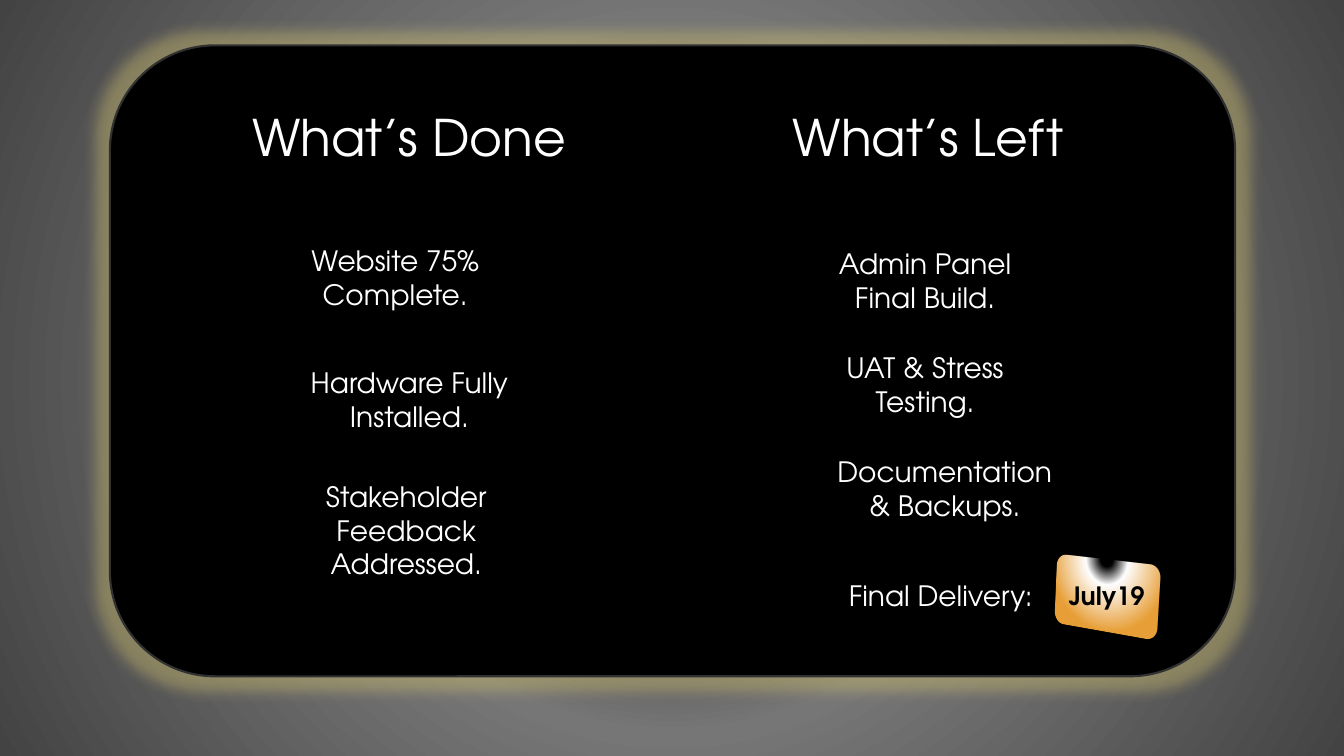
"""Build a project status slide comparing finished and remaining work."""
from lxml import etree
from pptx import Presentation
from pptx.dml.color import RGBColor
from pptx.enum.shapes import MSO_SHAPE
from pptx.enum.text import MSO_AUTO_SIZE, PP_ALIGN
from pptx.oxml import parse_xml
from pptx.oxml.ns import qn
from pptx.util import Inches, Pt

ROUNDED = MSO_SHAPE.ROUNDED_RECTANGLE
LEFT, CENTER = PP_ALIGN.LEFT, PP_ALIGN.CENTER
FIT = MSO_AUTO_SIZE.SHAPE_TO_FIT_TEXT
NS = 'xmlns:a="http://schemas.openxmlformats.org/drawingml/2006/main"'
FONT = "TeX Gyre Adventor"
COLORS = {
    "black": "000000",
    "white": "FFFFFF",
    "gray": "767676",
    "charcoal": "434343",
    "edge": "313131",
    "glow": "D4C36E",
    "orange": "E9A039",
}


def set_radial(gradient, stops, top, bottom):
    """Replace a gradient's content with a circular one."""
    for child in list(gradient):
        gradient.remove(child)
    stop_list = etree.SubElement(gradient, qn("a:gsLst"))
    for position, color in stops:
        stop = etree.SubElement(stop_list, qn("a:gs"), pos=str(position * 1000))
        etree.SubElement(stop, qn("a:srgbClr"), val=COLORS[color])
    circle = etree.SubElement(gradient, qn("a:path"), attrib={"path": "circle"})
    etree.SubElement(circle, qn("a:fillToRect"), l="50000", t=str(top * 1000),
                     r="50000", b=str(bottom * 1000))


def add_text(page, place, lines, size, align=CENTER, color="white", bold=False):
    """Add a text box with one paragraph per line."""
    box = page.shapes.add_textbox(*[Inches(length) for length in place])
    frame = box.text_frame
    frame.word_wrap = True
    frame.auto_size = FIT
    for index, line in enumerate(lines):
        para = frame.add_paragraph() if index else frame.paragraphs[0]
        para.alignment = align
        span = para.add_run()
        span.text = line
        span.font.name = FONT
        span.font.size = Pt(size)
        span.font.bold = bold
        span.font.color.rgb = RGBColor.from_string(COLORS[color])


deck = Presentation()
deck.slide_width, deck.slide_height = Inches(13.33), Inches(7.5)
page = deck.slides.add_slide(deck.slide_layouts[6])

page.background.fill.gradient()
set_radial(page.element.find(".//" + qn("a:gradFill")),
           [(0, "black"), (46, "gray"), (100, "charcoal")], 50, 50)

card = page.shapes.add_shape(ROUNDED, Inches(1.09), Inches(0.45), Inches(11.16), Inches(6.26))
card.fill.solid()
card.fill.fore_color.rgb = RGBColor.from_string(COLORS["black"])
card.line.color.rgb = RGBColor.from_string(COLORS["edge"])
card.line.width = Pt(1.5)
card.shadow.inherit = False
card_effects = card.element.spPr.find(qn("a:effectLst"))
card_effects.append(parse_xml(
    f'<a:glow {NS} rad="228600"><a:srgbClr val="{COLORS["glow"]}">'
    '<a:alpha val="40000"/></a:srgbClr></a:glow>'))

headings = [
    ((2.35, 1, 3.42, 0.71), "What’s Done"),
    ((7.45, 1, 3.51, 0.71), "What’s Left"),
]
for place, heading in headings:
    add_text(page, place, [heading], 36)

items = [
    ((2.69, 2.37, 2.46, 0.77), ["Website 75%", "Complete."]),
    ((2.72, 3.58, 2.68, 0.77), ["Hardware Fully Installed."]),
    ((2.75, 4.71, 2.56, 1.11), ["Stakeholder Feedback Addressed."]),
    ((8.15, 2.4, 2.05, 0.77), ["Admin Panel Final Build."]),
    ((8.22, 3.43, 1.91, 0.77), ["UAT & Stress Testing."]),
    ((8.15, 4.46, 2.44, 0.77), ["Documentation & Backups."]),
]
for place, lines in items:
    add_text(page, place, lines, 20)
add_text(page, (8.32, 5.69, 3.1, 0.44), ["Final Delivery:"], 20, LEFT)

badge = page.shapes.add_shape(ROUNDED, Inches(10.34), Inches(5.55), Inches(1.24), Inches(0.72))
badge.fill.gradient()
set_radial(badge.element.spPr.find(qn("a:gradFill")),
           [(10, "black"), (35, "white"), (100, "orange")], -80, 180)
badge.line.color.rgb = RGBColor.from_string(COLORS["black"])
badge.line.width = Pt(1.5)
outline_color = badge.element.spPr.find(qn("a:ln")).find(".//" + qn("a:srgbClr"))
etree.SubElement(outline_color, qn("a:alpha"), val="34000")
badge.shadow.inherit = False
badge.element.spPr.append(parse_xml(
    f'<a:scene3d {NS}><a:camera prst="perspectiveHeroicExtremeLeftFacing"/>'
    '<a:lightRig rig="threePt" dir="t"/></a:scene3d>'))
badge.element.spPr.append(parse_xml(f'<a:sp3d {NS} extrusionH="63500"/>'))
add_text(page, (10.5, 5.71, 0.99, 0.4), ["July19"], 18, LEFT, "black", True)

deck.save("out.pptx")
